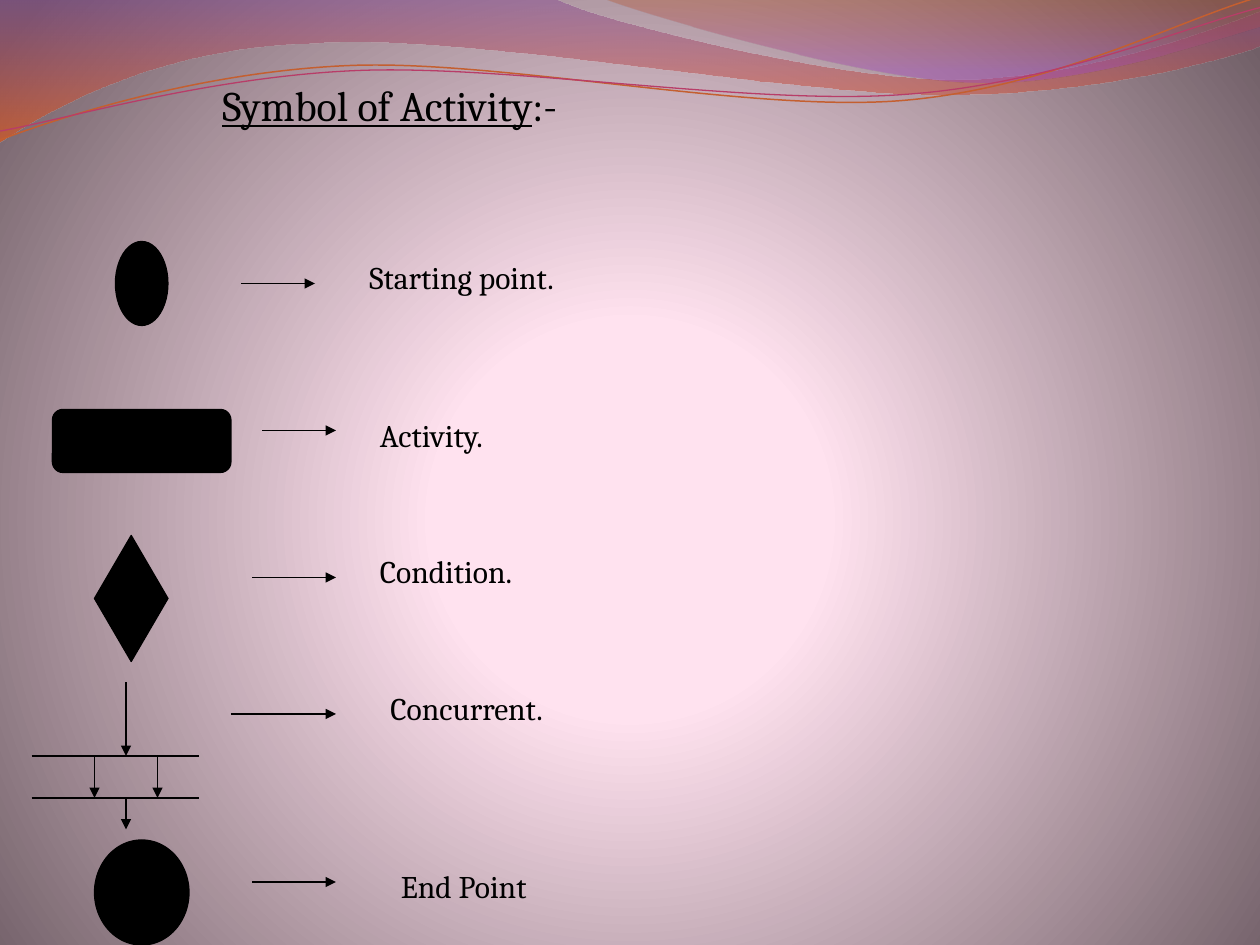
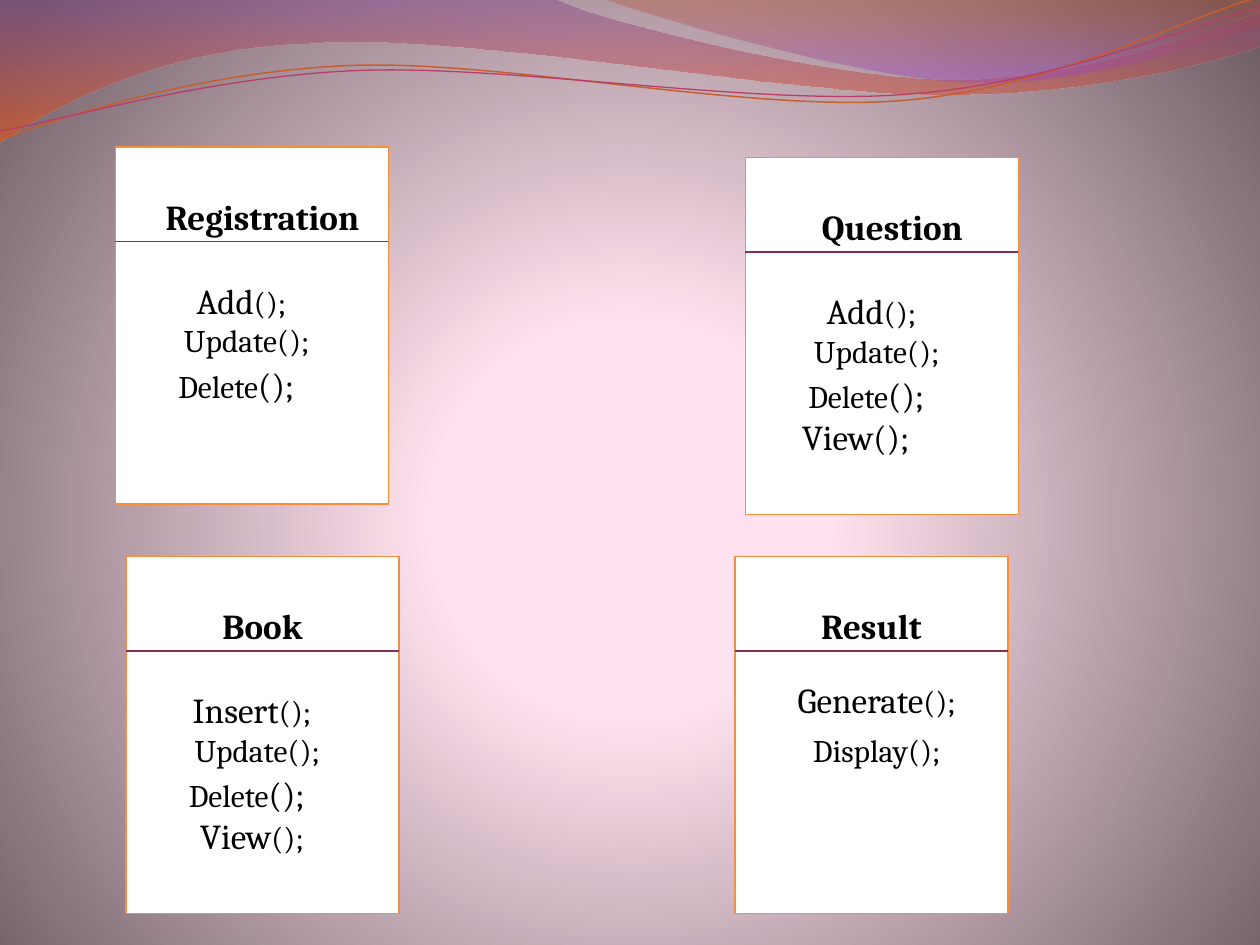
import math

import pptx
import pptx.dml.color
import pptx.enum.shapes
import pptx.enum.text
import pptx.oxml.ns
import pptx.util
from lxml import etree

Inches = pptx.util.Inches
Shapes = pptx.enum.shapes.MSO_SHAPE
qn = pptx.oxml.ns.qn

COLORS = {
    "ink": "000000",
    "card": "FFFFFF",
    "card_edge": "FA8D3D",
    "divider": "892C4D",
    "orange_wave": "C45F30",
    "pink_wave": "B83D68",
}
FONT = "Cambria"
UNITS_PER_INCH = 12
TEXT_HEIGHTS = {18: 0.4, 20: 0.44, 24: 0.5}
BACKDROP = [(0, "FFE3F0", 100), (25, "FFE2EF", 100), (100, "715F67", 100)]
WAVE_TURN = 357.3

BANDS = [
    ([(0, 0), (4.4, -0.01),
      (4.76, 0.17, 6.64, 0.63, 7.58, 0.63), (8.53, 0.63, 9.58, 0.26, 10, 0.09),
      (10.01, 0.36),
      (9.83, 0.44, 8.7, 0.76, 7.46, 0.75), (6.22, 0.75, 3.82, 0.28, 2.57, 0.34),
      (1.29, 0.36, 0.46, 0.83, -0.01, 1.13), (0, 0)],
     [(0, "834591", 45), (100, "F35307", 55)]),
    ([(4.79, -0.01),
      (5.09, 0.11, 6.82, 0.62, 7.69, 0.65), (8.56, 0.69, 9.61, 0.32, 10, 0.21),
      (10, 0), (4.79, -0.01)],
     [(0, "B74915", 30), (80, "A14BB4", 45)]),
]
WAVES = [
    ([(0, 1.11),
      (0.48, 0.93, 1.58, 0.57, 2.77, 0.52), (3.95, 0.47, 5.93, 0.89, 7.13, 0.8),
      (8.33, 0.71, 9.38, 0.15, 9.98, -0.02)], (4.99, 0.575), "orange_wave", 0.85),
    ([(0, 1.04),
      (0.47, 0.96, 1.64, 0.61, 2.83, 0.56), (4.03, 0.51, 5.97, 0.84, 7.17, 0.75),
      (8.36, 0.67, 9.41, 0.21, 10, 0.06)], (4.995, 0.59), "pink_wave", 0.75),
]

FORK = [
    (12, 65, 12, 72, True),
    (3, 72, 19, 72, False),
    (9, 72, 9, 76, True),
    (15, 72, 15, 76, True),
    (3, 76, 19, 76, False),
    (12, 76, 12, 79, True),
]
SYMBOL_ROWS = [
    ([(Shapes.OVAL, 11, 23, 5, 8)], [], (23, 30, 27), ("Starting point.", 34, 24, 34)),
    ([(Shapes.FLOWCHART_ALTERNATE_PROCESS, 5, 39, 17, 6)], [],
     (25, 32, 41), ("Activity.", 35, 39, 24)),
    ([(Shapes.FLOWCHART_DECISION, 9, 51, 7, 12)], [],
     (24, 32, 55), ("Condition.", 35, 52, 26)),
    ([], FORK, (22, 32, 68), ("Concurrent.", 36, 65, 22)),
    ([(Shapes.OVAL, 9, 80, 9, 10), (Shapes.OVAL, 11, 83, 5, 3)], [],
     (24, 32, 84), ("End Point", 37, 82, 29)),
]

ADD = ("Add", 20, 18, 3, 18)
INSERT = ("Insert", 20, 18, 3, 18)
UPDATE = ("Update", 18, 18, 3, 19)
DELETE = ("Delete", 18, 20, 4, 15)
CARDS = [
    ("Registration", 11, 14, 2, 12, 4, [ADD, UPDATE, DELETE]),
    ("Question", 71, 15, 2, 12, 4, [ADD, UPDATE, DELETE, ("View", 20, 20, 3, 15)]),
    ("Book", 12, 53, 1, 12, 4, [INSERT, UPDATE, DELETE, ("View", 20, 18, 5, 14)]),
    ("Result", 70, 53, 1, 11, 5,
     [("Generate", 20, 18, 3, 21), ("Display", 18, 18, 5, 17)]),
]


def grid(units):
    return Inches(units / UNITS_PER_INCH)


def rgb(name):
    return pptx.dml.color.RGBColor.from_string(COLORS[name])


def add_node(parent, tag, **attributes):
    return etree.SubElement(
        parent, qn(tag), {key: str(value) for key, value in attributes.items()})


def fill_gradient(fill, owner, stops):
    fill.gradient()
    gradient = owner.find(".//" + qn("a:gradFill"))
    for child in list(gradient):
        gradient.remove(child)
    stop_list = add_node(gradient, "a:gsLst")
    for position, color, opacity in stops:
        stop = add_node(stop_list, "a:gs", pos=position * 1000)
        shade = add_node(stop, "a:srgbClr", val=color)
        if opacity < 100:
            add_node(shade, "a:alpha", val=opacity * 1000)
    return gradient


def turn(segments, centre, degrees):
    cosine, sine = math.cos(math.radians(degrees)), math.sin(math.radians(degrees))
    turned = []
    for segment in segments:
        values = []
        for x, y in zip(segment[::2], segment[1::2]):
            dx, dy = x - centre[0], y - centre[1]
            values += [centre[0] + dx * cosine - dy * sine,
                       centre[1] + dx * sine + dy * cosine]
        turned.append(values)
    return turned


class SlideBuilder:
    def __init__(self, deck):
        self.deck = deck
        self.page = None

    def new_page(self):
        self.page = self.deck.slides.add_slide(self.deck.slide_layouts[6])
        gradient = fill_gradient(self.page.background.fill, self.page.element, BACKDROP)
        circle = add_node(gradient, "a:path", path="circle")
        add_node(circle, "a:fillToRect", l=10000, t=110000, r=10000, b=100000)
        for segments, stops in BANDS:
            band = self.outline(self.page.shapes, segments, True)
            gradient = fill_gradient(band.fill, band.element, stops)
            add_node(gradient, "a:lin", ang=90 * 60000, scaled=0)
            band.line.fill.background()
        group = self.page.shapes.add_group_shape()
        for segments, centre, color, width in WAVES:
            wave = self.outline(group.shapes, turn(segments, centre, -WAVE_TURN), False)
            wave.rotation = WAVE_TURN
            wave.fill.background()
            self.stroke(wave, color, width)

    def stroke(self, shape, color, width=0.75):
        shape.line.color.rgb = rgb(color)
        shape.line.width = pptx.util.Pt(width)

    def outline(self, shapes, segments, close):
        points = [(Inches(x), Inches(y)) for segment in segments
                  for x, y in zip(segment[::2], segment[1::2])]
        builder = shapes.build_freeform(*points[0])
        builder.add_line_segments(points[1:], close=close)
        shape = builder.convert_to_shape()
        shape.shadow.inherit = False
        steps = iter(shape.element.findall(".//" + qn("a:lnTo")))
        for segment in segments[1:]:
            step = next(steps)
            if len(segment) == 6:
                step.tag = qn("a:cubicBezTo")
                for follower in (next(steps), next(steps)):
                    step.append(follower[0])
                    follower.getparent().remove(follower)
        return shape

    def shape(self, kind, left, top, width, height, fill="ink", edge="ink", weight=0.75):
        shape = self.page.shapes.add_shape(
            kind, grid(left), grid(top), grid(width), grid(height))
        shape.shadow.inherit = False
        shape.fill.solid()
        shape.fill.fore_color.rgb = rgb(fill)
        self.stroke(shape, edge, weight)

    def line(self, x1, y1, x2, y2, arrow=False, color="ink"):
        line = self.page.shapes.add_connector(
            pptx.enum.shapes.MSO_CONNECTOR.STRAIGHT,
            grid(x1), grid(y1), grid(x2), grid(y2))
        self.stroke(line, color)
        if arrow:
            add_node(line.line._get_or_add_ln(), "a:tailEnd", type="triangle")
        add_node(line.element.spPr, "a:effectLst")

    def text(self, left, top, width, spans, bold=None, centered=False):
        height = TEXT_HEIGHTS[max(size for words, size, underlined in spans)]
        box = self.page.shapes.add_textbox(
            grid(left), grid(top), grid(width), Inches(height))
        frame = box.text_frame
        frame.word_wrap = True
        frame.auto_size = pptx.enum.text.MSO_AUTO_SIZE.SHAPE_TO_FIT_TEXT
        para = frame.paragraphs[0]
        if centered:
            para.alignment = pptx.enum.text.PP_ALIGN.CENTER
        else:
            before = add_node(para._p.get_or_add_pPr(), "a:spcBef")
            add_node(before, "a:spcPct", val=50000)
        for words, size, underlined in spans:
            span = para.add_run()
            span.text = words
            span.font.name = FONT
            span.font.size = pptx.util.Pt(size)
            span.font.bold = bold
            span.font.underline = underlined
            span.font.color.rgb = rgb("ink")

    def card(self, title, left, top, title_indent, first, step, operations):
        width, height, divider = 26, 34, top + 9
        self.shape(Shapes.RECTANGLE, left, top, width, height, "card", "card_edge", 1)
        self.text(left + title_indent, top + 4, 24, [(title, 20, None)],
                  bold=True, centered=True)
        self.line(left, divider, left + width, divider, color="divider")
        for row, (name, size, call_size, indent, room) in enumerate(operations):
            spans = [(name, size, None), ("();", call_size, None)]
            if size == call_size:
                spans = [(name + "();", size, None)]
            self.text(left + indent, top + first + row * step, room, spans, centered=True)


def build_symbols(builder):
    builder.new_page()
    builder.text(20, 7, 66, [("Symbol of Activity", 24, True), (":-", 24, False)])
    for symbols, lines, (start, end, level), (label, left, top, width) in SYMBOL_ROWS:
        for symbol in symbols:
            builder.shape(*symbol)
        for line in lines:
            builder.line(*line)
        builder.line(start, level, end, level, arrow=True)
        builder.text(left, top, width, [(label, 18, None)])


def build_cards(builder):
    builder.new_page()
    for card in CARDS:
        builder.card(*card)


def main():
    deck = pptx.Presentation()
    deck.slide_width = Inches(10)
    deck.slide_height = Inches(7.5)
    builder = SlideBuilder(deck)
    build_symbols(builder)
    build_cards(builder)
    deck.save("out.pptx")


if __name__ == "__main__":
    main()
